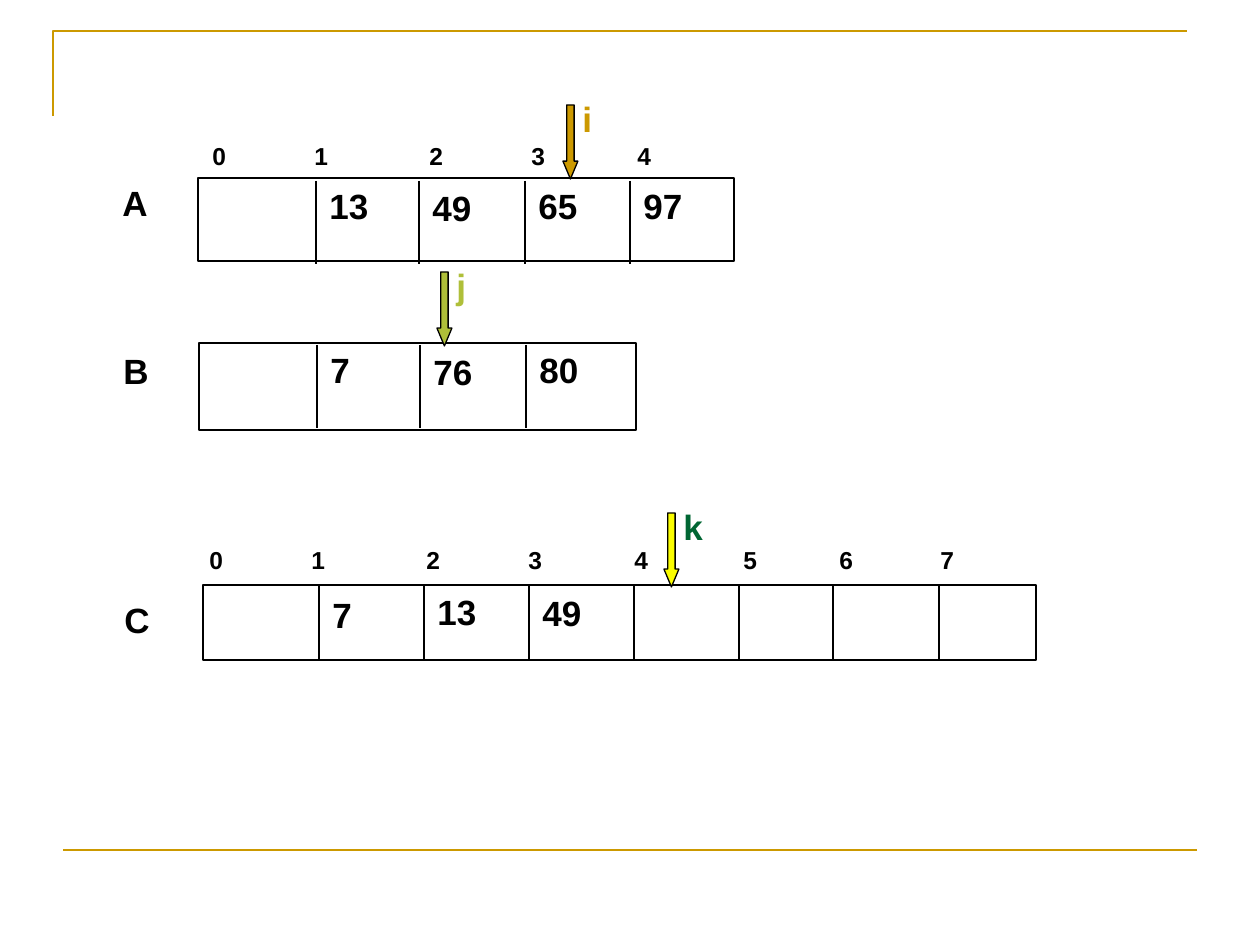
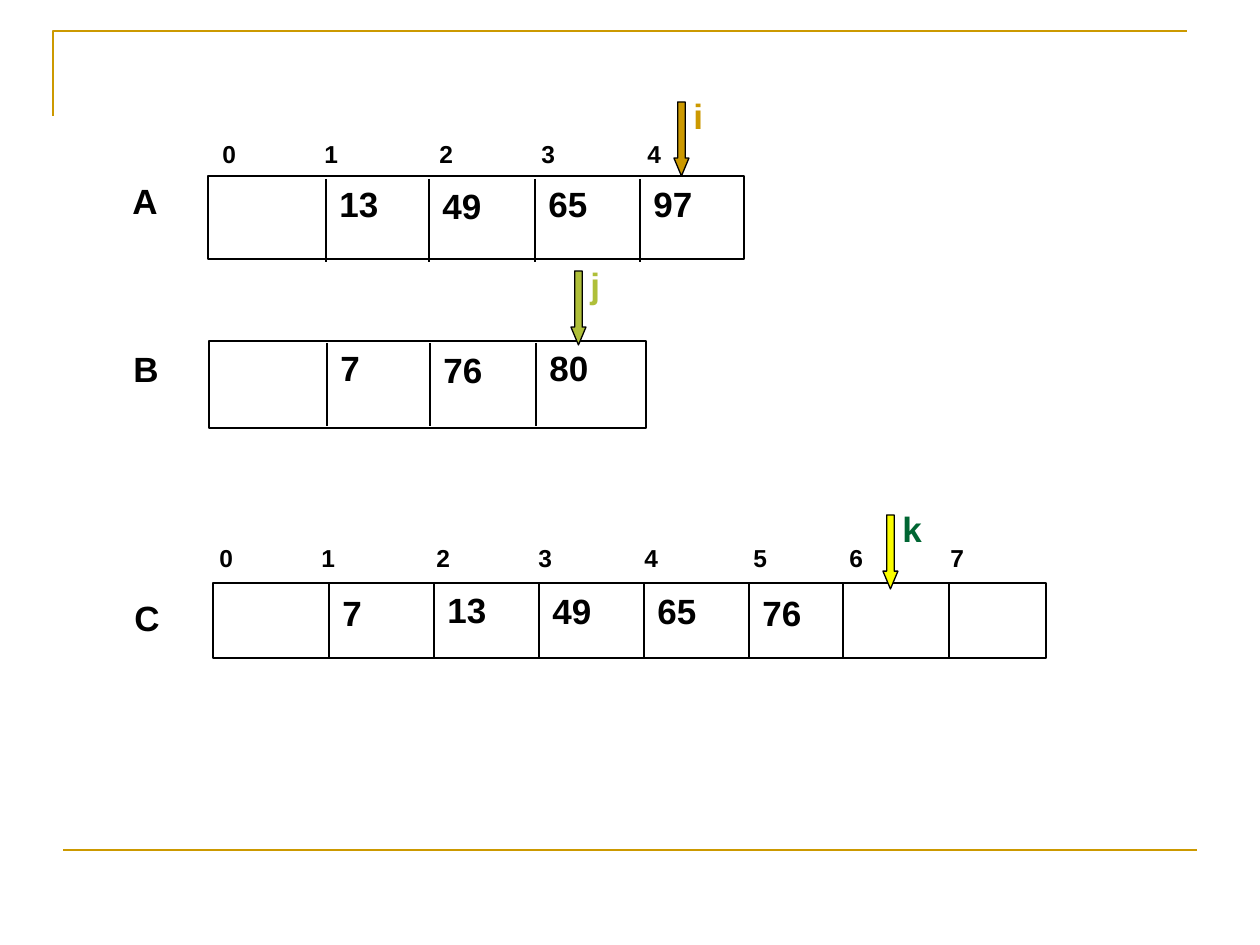
from typing import NamedTuple, Optional

import pptx
import pptx.dml.color
import pptx.enum.shapes
import pptx.enum.text
import pptx.oxml.ns
import pptx.util
from lxml import etree

RGB = pptx.dml.color.RGBColor
SHAPE = pptx.enum.shapes.MSO_SHAPE

# Shared look
BLACK = RGB(0x00, 0x00, 0x00)
WHITE = RGB(0xFF, 0xFF, 0xFF)
GOLD = RGB(0xCC, 0x99, 0x00)
OLIVE = RGB(0xAF, 0xBF, 0x39)
YELLOW = RGB(0xFA, 0xFD, 0x00)
GREEN = RGB(0x00, 0x66, 0x33)
FONT = "Arial"
THIN, FRAME = 0.75, 1.5
PX_PER_INCH = 126

# Cell edges and index tab stops, measured from the left of a row or its text
SHORT_EDGES = (118, 221, 327, 432)
LONG_EDGES = (116, 221, 326, 431, 536, 630, 736)
INDEX_TABS = (102, 217, 319, 425, 534, 630, 731)


class Row(NamedTuple):
    """One array: its box, inner edges, name and optional index strip."""
    name: str
    x: int
    y: int
    w: int
    h: int
    edges: tuple[int, ...]
    edge_top: int
    edge_bottom: int
    name_offset: tuple[int, int]
    drops: tuple[int, ...]
    index_offset: Optional[tuple[int, int]] = None


class Pointer(NamedTuple):
    """A named arrow that marks the current cell."""
    name: str
    fill: RGB
    color: RGB


class Step(NamedTuple):
    """One state of the merge."""
    shift: tuple[int, int]
    values: tuple[tuple[int, ...], ...]
    pointers: tuple[tuple[int, int], ...]


ROWS = (
    Row("A", 198, 178, 536, 83, SHORT_EDGES, 3, 86, (-88, -3),
        (0, 2, 0, 0), (2, -43)),
    Row("B", 199, 343, 437, 87, SHORT_EDGES[:3], 2, 85, (-88, 0),
        (-1, 1, -1)),
    Row("C", 203, 585, 833, 75, LONG_EDGES, 0, 76, (-91, 7),
        (2, -1, 0, 0, 2), (-6, -46)),
)
POINTERS = (
    Pointer("i", GOLD, GOLD),
    Pointer("j", OLIVE, OLIVE),
    Pointer("k", YELLOW, GREEN),
)
A_VALUES, B_VALUES = (13, 49, 65, 97), (7, 76, 80)
STEPS = (
    Step((0, 0), (A_VALUES, B_VALUES, (7, 13, 49)),
         ((563, 105), (437, 272), (664, 513))),
    Step((10, -2), (A_VALUES, B_VALUES, (7, 13, 49, 65, 76)),
         ((674, 102), (571, 271), (883, 515))),
)


def px(n: int) -> int:
    return pptx.util.Emu(round(n * 914400 / PX_PER_INCH))


def add_text(shapes, text: str, x: int, y: int, w: int, h: int,
             size: int = 20, color: RGB = BLACK,
             tabs: tuple[int, ...] = ()) -> None:
    tb = shapes.add_textbox(px(x), px(y), px(w), px(h))
    tf = tb.text_frame
    tf.word_wrap = True
    tf.auto_size = pptx.enum.text.MSO_AUTO_SIZE.SHAPE_TO_FIT_TEXT
    tf.text = text
    p = tf.paragraphs[0]
    if tabs:
        qn = pptx.oxml.ns.qn
        tab_list = etree.SubElement(p._p.get_or_add_pPr(), qn("a:tabLst"))
        for stop in tabs:
            etree.SubElement(tab_list, qn("a:tab"), pos=str(px(stop)), algn="l")
    for r in p.runs:
        r.font.name, r.font.size = FONT, pptx.util.Pt(size)
        r.font.bold = True
        r.font.color.rgb = color


def add_line(shapes, x1: int, y1: int, x2: int, y2: int,
             color: RGB = BLACK, width: float = THIN) -> None:
    line = shapes.add_connector(pptx.enum.shapes.MSO_CONNECTOR.STRAIGHT,
                                px(x1), px(y1), px(x2), px(y2))
    line.line.color.rgb = color
    line.line.width = pptx.util.Pt(width)
    etree.SubElement(line._element.spPr, pptx.oxml.ns.qn("a:effectLst"))


def add_filled(shapes, kind: SHAPE, x: int, y: int, w: int, h: int, fill: RGB):
    sp = shapes.add_shape(kind, px(x), px(y), px(w), px(h))
    sp.shadow.inherit = False
    sp.fill.solid()
    sp.fill.fore_color.rgb = fill
    sp.line.color.rgb = BLACK
    sp.line.width = pptx.util.Pt(THIN)
    return sp


def draw_frame(s) -> None:
    """Corner bracket at the top and rule at the bottom."""
    fb = s.shapes.build_freeform(px(53), px(116))
    fb.add_line_segments([(px(53), px(31)), (px(1187), px(31))], close=False)
    sp = fb.convert_to_shape()
    sp.shadow.inherit = False
    sp.fill.background()
    sp.line.color.rgb = GOLD
    sp.line.width = pptx.util.Pt(FRAME)
    add_line(s.shapes, 63, 850, 1197, 850, GOLD, FRAME)


def draw_row(s, row: Row, values: tuple[int, ...], shift: tuple[int, int]) -> None:
    x, y = row.x + shift[0], row.y + shift[1]
    # Index strip
    if row.index_offset:
        dx, dy = row.index_offset
        count = len(row.edges) + 1
        add_text(s.shapes, "\t".join(map(str, range(count))),
                 x + dx, y + dy, row.w, 43, 14, tabs=INDEX_TABS[:count - 1])
    # Cells
    add_filled(s.shapes, SHAPE.RECTANGLE, x, y, row.w, row.h, WHITE)
    for edge in row.edges:
        add_line(s.shapes, x + edge, y + row.edge_top,
                 x + edge, y + row.edge_bottom)
    for value, edge, drop in zip(values, row.edges, row.drops):
        add_text(s.shapes, str(value), x + edge + 1, y + drop, 84, 55)
    # Array name
    dx, dy = row.name_offset
    add_text(s.shapes, row.name, x + dx, y + dy, 84, 55)


def draw_pointer(s, pointer: Pointer, x: int, y: int) -> None:
    group = s.shapes.add_group_shape()
    arrow = add_filled(group.shapes, SHAPE.DOWN_ARROW, x, y, 15, 74, pointer.fill)
    arrow.adjustments[0] = 0.5
    arrow.adjustments[1] = 1.19
    add_text(group.shapes, pointer.name, x + 7, y - 14, 67, 55,
             color=pointer.color)


def main() -> None:
    prs = pptx.Presentation()
    prs.slide_width, prs.slide_height = px(1260), px(945)
    for step in STEPS:
        s = prs.slides.add_slide(prs.slide_layouts[6])
        draw_frame(s)
        for row, values in zip(ROWS, step.values):
            draw_row(s, row, values, step.shift)
        for pointer, (x, y) in zip(POINTERS, step.pointers):
            draw_pointer(s, pointer, x, y)
    prs.save("out.pptx")


if __name__ == "__main__":
    main()
